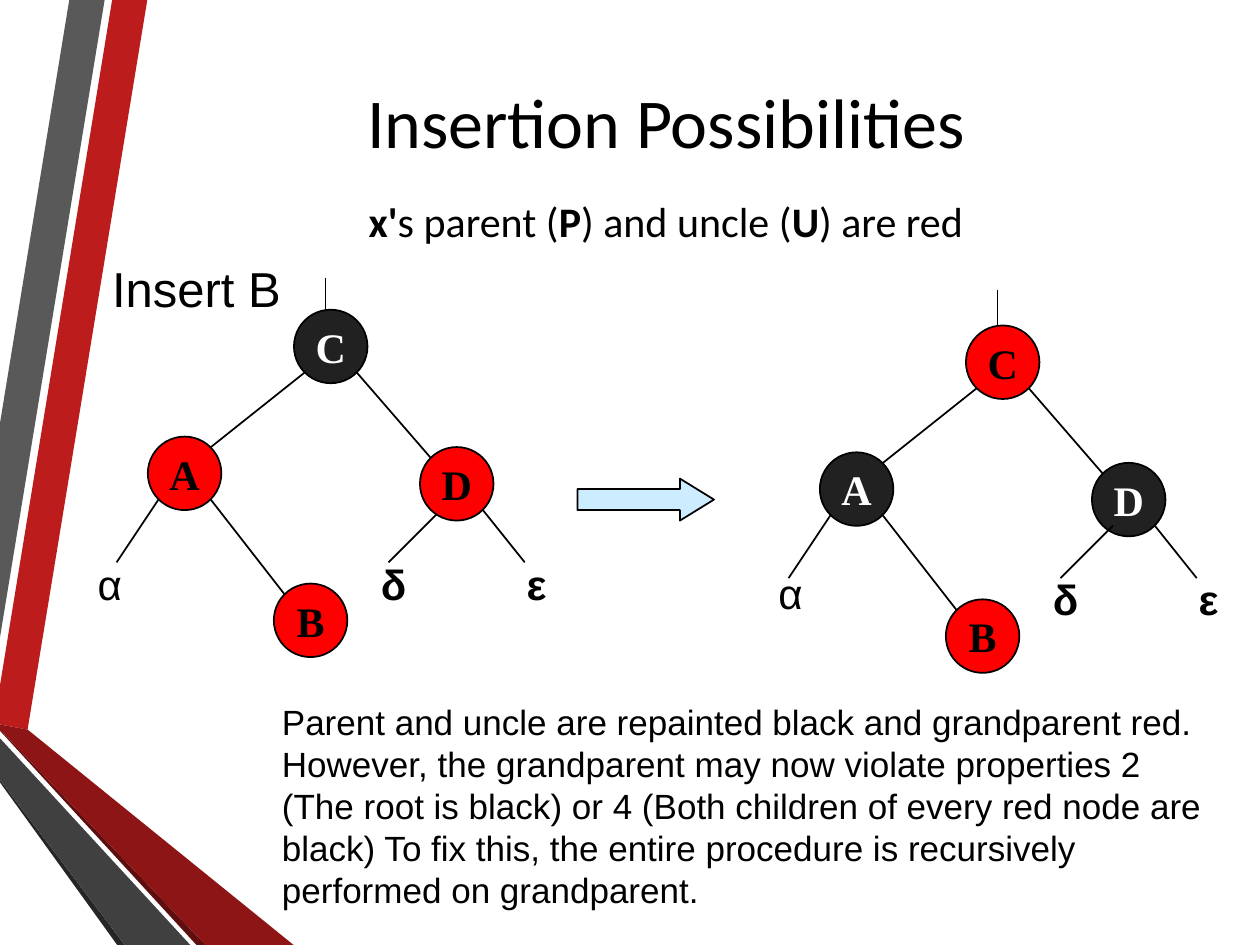
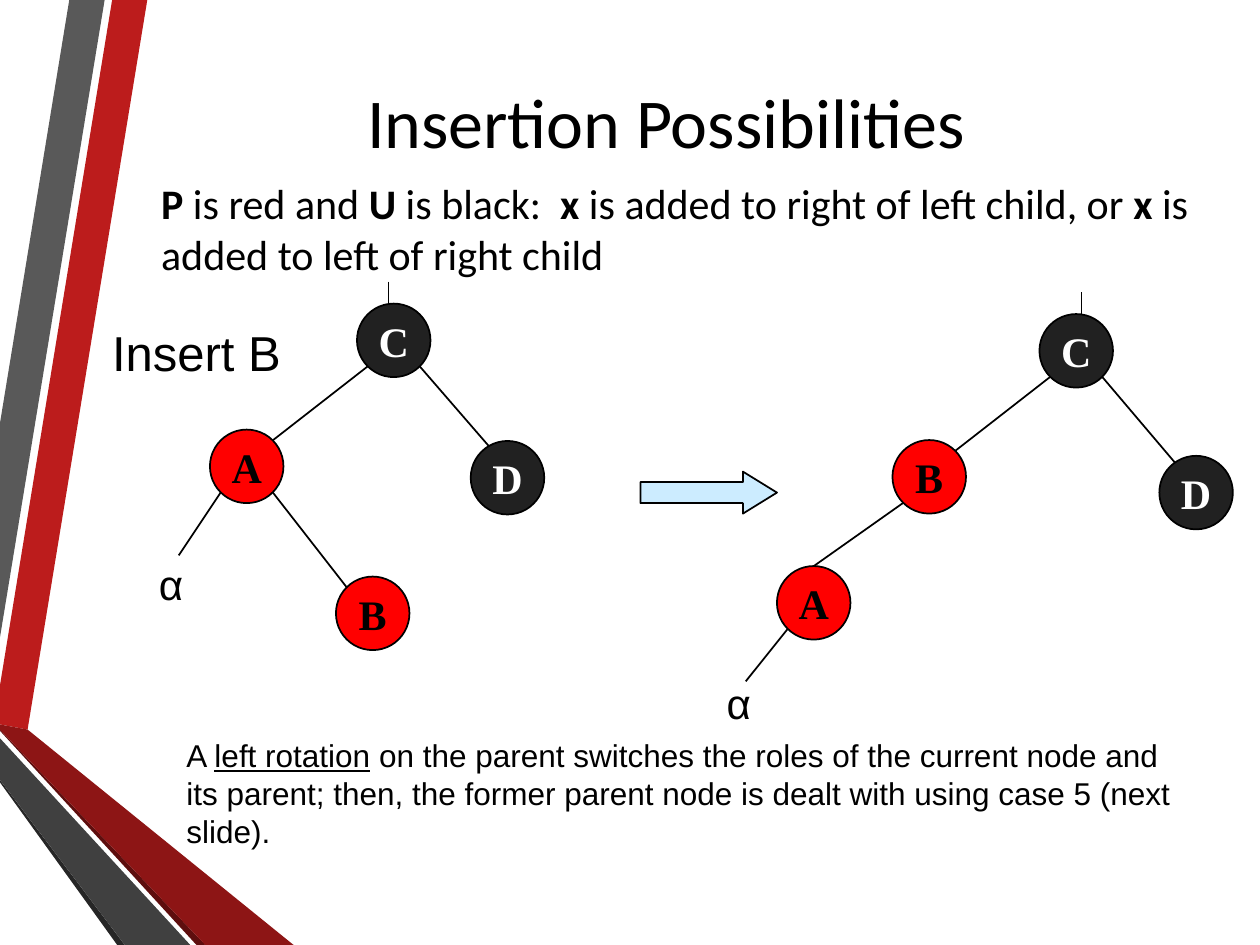
from dataclasses import dataclass

import pptx
import pptx.dml.color
import pptx.enum.shapes
import pptx.enum.text
import pptx.oxml
import pptx.util

Pt = pptx.util.Pt
Align = pptx.enum.text.PP_ALIGN
Anchor = pptx.enum.text.MSO_ANCHOR
Shape = pptx.enum.shapes.MSO_SHAPE


@dataclass(frozen=True)
class Theme:
    ink: str = "000000"
    paper: str = "FFFFFF"
    red: str = "FF0000"
    black: str = "212121"
    arrow: str = "CCECFF"
    head_font: str = "Calibri"
    text_font: str = "Arial"
    node_font: str = "Times New Roman"
    title: int = 40
    call: int = 28
    lead: int = 24
    node: int = 24
    line: float = 1


THEME = Theme()
SIZE = 42  # node diameter
DIAG = 14.85  # from a node's centre to its rim at 45 degrees, per axis

BANDS = [
    ("BC1C1C", [(0, 391.7), (0, 414), (15.8, 416.9), (84.2, 0), (64.1, 0)]),
    ("595959", [(59.8, 0), (39.6, 0), (0, 241.9), (0, 364.3)]),
    ("262626", [(0, 445.7), (0, 447.1), (67, 540), (71.3, 540)]),
    ("5E0E0E", [(0, 416.9), (0, 417.6), (112.3, 540), (117.4, 540)]),
    ("8D1515", [(0, 416.9), (117.4, 540), (167.8, 540), (15.8, 416.9), (0, 414)]),
    ("404040", [(0, 445.7), (71.3, 540), (108.7, 540), (0, 421.9)]),
]


@dataclass
class Node:
    """A node placed relative to the root; join is where its edge ends."""
    name: str
    x: float
    y: float
    fill: str
    parent: str = ""
    join: tuple = ()


@dataclass
class Leaf:
    """A subtree: line start from the parent's centre, run, and label offset."""
    name: str
    parent: str
    start: float
    run: tuple
    label: tuple
    width: float
    bold: bool = True
    front: bool = False


def color(value):
    return pptx.dml.color.RGBColor.from_string(value)


def write(para, runs, font, size, ink=THEME.ink):
    """Add (text, style) runs; style holds b for bold and u for underline."""
    for text, style in runs:
        run = para.add_run()
        run.text = text
        run.font.name = font
        run.font.size = Pt(size)
        run.font.color.rgb = color(ink)
        run.font.bold = "b" in style
        run.font.underline = "u" in style


def add_text(slide, box, runs, font, size, align=Align.LEFT, wrap=True):
    frame = slide.shapes.add_textbox(*map(Pt, box)).text_frame
    frame.word_wrap = wrap
    para = frame.paragraphs[0]
    para.alignment = align
    write(para, runs, font, size)


def paint(shape, fill):
    shape.shadow.inherit = False
    shape.fill.solid()
    shape.fill.fore_color.rgb = color(fill)
    shape.line.color.rgb = color(THEME.ink)
    shape.line.width = Pt(THEME.line)


def add_line(slide, start, end):
    line = slide.shapes.add_connector(
        pptx.enum.shapes.MSO_CONNECTOR.STRAIGHT, *map(Pt, (*start, *end)))
    line.line.color.rgb = color(THEME.ink)
    line.line.width = Pt(THEME.line)
    props = line.element.spPr
    props.append(props.makeelement(pptx.oxml.ns.qn("a:effectLst"), {}))


def add_arrow(slide, x, y):
    arrow = slide.shapes.add_shape(Shape.RIGHT_ARROW, *map(Pt, (x, y, 78, 24)))
    arrow.adjustments[0] = 0.5
    arrow.adjustments[1] = 0.81
    paint(arrow, THEME.arrow)


def add_node(slide, x, y, node):
    disc = slide.shapes.add_shape(
        Shape.OVAL, *map(Pt, (x - SIZE / 2, y - SIZE / 2, SIZE, SIZE)))
    paint(disc, node.fill)
    frame = disc.text_frame
    frame.word_wrap = False
    frame.vertical_anchor = Anchor.MIDDLE
    para = frame.paragraphs[0]
    para.alignment = Align.CENTER
    ink = THEME.paper if node.fill == THEME.black else THEME.ink
    write(para, [(node.name, "b")], THEME.node_font, THEME.node, ink)


def add_leaf(slide, place, leaf):
    x, y = place[leaf.parent]
    start = x + leaf.start, y + DIAG
    end = start[0] + leaf.run[0], start[1] + leaf.run[1]
    add_line(slide, start, end)
    box = end[0] + leaf.label[0], end[1] + leaf.label[1], leaf.width, 36
    add_text(slide, box, [(leaf.name, "b" if leaf.bold else "")],
             THEME.text_font, THEME.node, wrap=False)


def add_tree(slide, root, stem, nodes, leaves):
    """Draw a tree; stem is the x offset, top and bottom of the root's line."""
    place = {n.name: (root[0] + n.x, root[1] + n.y) for n in nodes}
    dx, top, foot = stem
    add_line(slide, (root[0] + dx, top), (root[0] + dx, foot))
    for node in nodes:
        if node.parent:
            (px, py), (x, y) = place[node.parent], place[node.name]
            side = DIAG if x > px else -DIAG
            jx, jy = node.join or (-side, -DIAG)
            add_line(slide, (px + side, py + DIAG), (x + jx, y + jy))
    for leaf in leaves:
        if not leaf.front:
            add_leaf(slide, place, leaf)
    for node in nodes:
        add_node(slide, *place[node.name], node)
    for leaf in leaves:
        if leaf.front:
            add_leaf(slide, place, leaf)


def style_layout(deck):
    """Put the bands and the title's place on the layout, and return it."""
    layout = deck.slide_layouts.get_by_name("Title Only")
    title = layout.placeholders[0]
    title.left, title.top, title.width, title.height = map(Pt, (77, 36, 607, 66))
    title.text_frame.vertical_anchor = Anchor.MIDDLE
    draft = deck.slides.add_slide(layout)
    for spot, (fill, points) in enumerate(BANDS, 2):
        pen = draft.shapes.build_freeform(*map(Pt, points[0]))
        pen.add_line_segments([(Pt(x), Pt(y)) for x, y in points[1:]])
        band = pen.convert_to_shape()
        paint(band, fill)
        band.line.fill.background()
        layout.shapes.element.insert(spot, band.element)
    return draft, layout


def add_head(slide, call_top):
    para = slide.shapes.title.text_frame.paragraphs[0]
    para.alignment = Align.CENTER
    write(para, [("Insertion Possibilities", "")], THEME.head_font, THEME.title)
    add_text(slide, (57, call_top, 111, 41), [("Insert B", "")],
             THEME.text_font, THEME.call, wrap=False)


def alpha(label=(-18, -6), run=(-24, 36)):
    return Leaf("α", "A", -DIAG, run, label, 29.5, bold=False)


def full_tree(c, a, d):
    """Root C with children A and D, and B on the right of A."""
    return [Node("C", 0, 0, c), Node("A", -83.5, 72.5, a, "C"),
            Node("D", 72, 78.5, d, "C"), Node("B", -11.5, 156.5, THEME.red, "A")]


def fill_uncle(slide):
    """Case with a red uncle: recolour."""
    red, black = THEME.red, THEME.black
    add_head(slide, 144)
    add_text(slide, (77, 108, 607, 54),
             [("x'", "b"), ("s parent (", ""), ("P", "b"), (") and uncle (", ""),
              ("U", "b"), (") are red", "")],
             THEME.head_font, THEME.lead, Align.CENTER)
    add_text(slide, (154, 397, 550, 127),
             [("Parent and uncle are repainted black and grandparent red. "
               "However, the grandparent may now violate properties 2 (The root is "
               "black) or 4 (Both children of every red node are black) To fix this, "
               "the entire procedure is recursively performed on grandparent.", "")],
             THEME.text_font, 20)

    def leaves(label, front):
        return [alpha(label),
                Leaf("δ", "D", -9, (-30, 30), (-11.5, -6), 26, front=front),
                Leaf("ε", "D", DIAG, (24, 30), (-6, -6), 24.5)]

    add_tree(slide, (189, 198), (-3, 159, 177), full_tree(black, red, red),
             leaves((-18, -6), False))
    add_arrow(slide, 330, 273.5)
    add_tree(slide, (573, 207), (-3, 165.5, 189), full_tree(red, black, black),
             leaves((-13, -9.5), True))


def fill_turn(slide):
    """Case with a black uncle: left rotation."""
    red, black = THEME.red, THEME.black
    add_head(slide, 181)
    add_text(slide, (85, 98, 607, 67),
             [("P", "b"), (" is red and ", ""), ("U", "b"), (" is black:  ", ""),
              ("x", "b"), (" is added to right of left child, or ", ""),
              ("x", "b"), (" is added to left of right child", "")],
             THEME.head_font, THEME.lead)
    add_text(slide, (99.5, 417, 584.5, 72),
             [("A ", ""), ("left rotation", "u"),
              (" on the parent switches the roles of the current node and its "
               "parent; then, the former parent node is dealt with using case 5 "
               "(next slide).", "")],
             THEME.text_font, 18)
    before = [Node("C", 0, 0, black), Node("A", -84, 72, red, "C"),
              Node("B", -12, 156, red, "A"),
              Node("D", 65, 78.5, black, "C", (-8, -15))]
    after = [Node("C", 0, 0, black), Node("B", -84, 72, red, "C"),
             Node("A", -150, 144, red, "B", (0, -21)),
             Node("D", 68.5, 81, black, "C", (-12, -17))]
    add_tree(slide, (225, 194.5), (-3, 161, 173.5), before, [alpha((-18.5, -2))])
    add_arrow(slide, 366, 269.5)
    add_tree(slide, (615, 200.5), (3, 167, 179.5), after, [alpha(run=(-24, 30))])


def main():
    deck = pptx.Presentation()
    deck.slide_width, deck.slide_height = Pt(720), Pt(540)
    first, layout = style_layout(deck)
    fill_uncle(first)
    fill_turn(deck.slides.add_slide(layout))
    deck.save("out.pptx")


if __name__ == "__main__":
    main()
